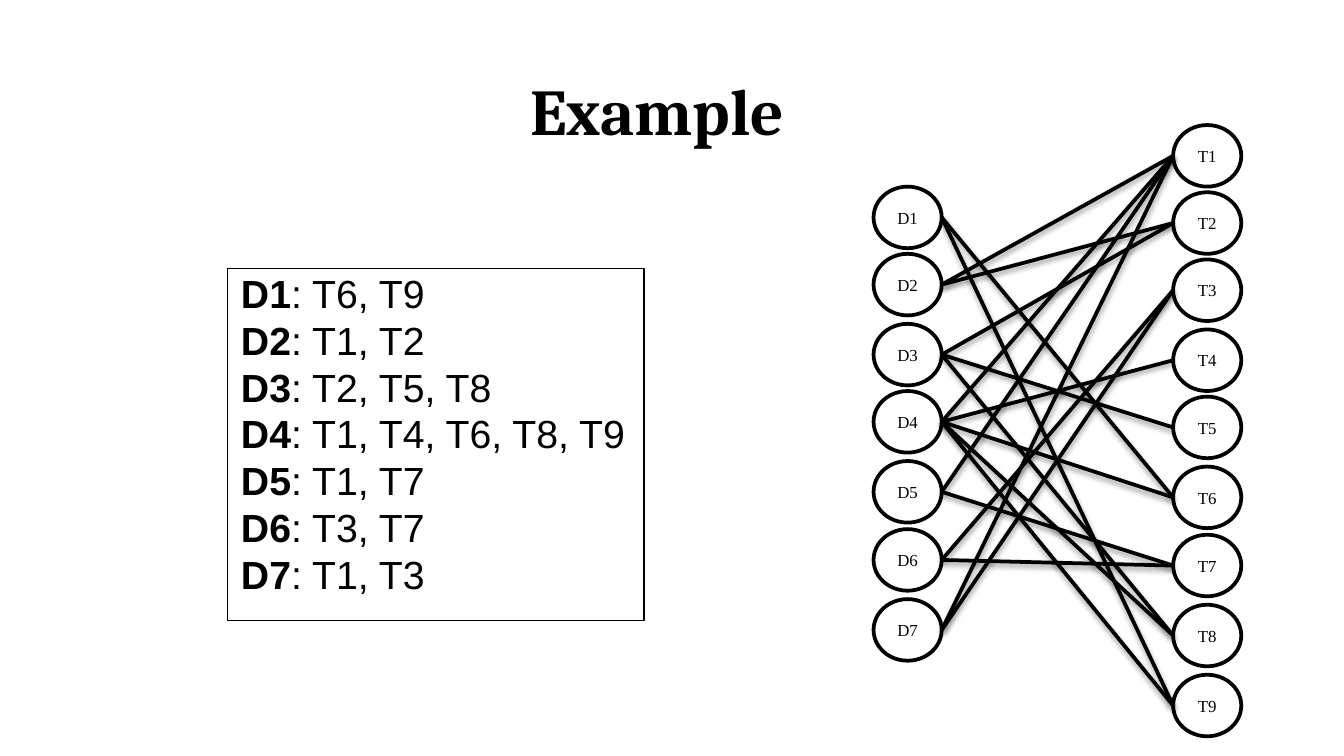
from dataclasses import dataclass

from lxml import etree
from pptx import Presentation
from pptx.dml.color import RGBColor
from pptx.enum.shapes import MSO_CONNECTOR, MSO_SHAPE
from pptx.enum.text import MSO_ANCHOR, PP_ALIGN
from pptx.oxml.ns import qn
from pptx.util import Pt

LEFT, CENTER = PP_ALIGN.LEFT, PP_ALIGN.CENTER
TOP, MIDDLE = MSO_ANCHOR.TOP, MSO_ANCHOR.MIDDLE
RECTANGLE, OVAL = MSO_SHAPE.RECTANGLE, MSO_SHAPE.OVAL
STRAIGHT = MSO_CONNECTOR.STRAIGHT


@dataclass(frozen=True)
class Theme:
    ink: str = "000000"
    title_font: str = "Cambria"
    list_font: str = "Arial"
    node_font: str = "Times New Roman"
    title_size: float = 35
    list_size: float = 21
    node_size: float = 9
    box_line: float = 0.75
    graph_line: float = 2


# Documents and the terms each one contains
TERMS = {
    "D1": ["T6", "T9"],
    "D2": ["T1", "T2"],
    "D3": ["T2", "T5", "T8"],
    "D4": ["T1", "T4", "T6", "T8", "T9"],
    "D5": ["T1", "T7"],
    "D6": ["T3", "T7"],
    "D7": ["T1", "T3"],
}

# Graph layout in points: document rows sit just above term rows 2 to 8
NODE_WIDTH, NODE_HEIGHT = 36.5, 33
DOCUMENT_LEFT, TERM_LEFT = 468, 628.5
TERM_TOPS = [67, 103, 139, 176.5, 212.5, 250, 286.5, 324, 361.5]
DOCUMENT_TOPS = [top - 3 for top in TERM_TOPS[1:8]]


class SlideBuilder:
    def __init__(self, slide, theme):
        self.slide = slide
        self.theme = theme
        self.ink = RGBColor.from_string(theme.ink)

    def apply(self, target, values):
        for name, value in values.items():
            setattr(target, name, value)

    def frame(self, box, anchor, wrap, left=0, top=0):
        self.apply(box.text_frame, {
            "word_wrap": wrap, "vertical_anchor": anchor,
            "margin_left": Pt(left), "margin_right": Pt(left),
            "margin_top": Pt(top), "margin_bottom": Pt(top),
        })
        return box.text_frame

    def span(self, para, text, font, size, bold=False):
        span = para.add_run()
        span.text = text
        self.apply(span.font, {"name": font, "size": Pt(size), "bold": bold})
        span.font.color.rgb = self.ink

    def stroke(self, line, width):
        line.color.rgb = self.ink
        line.width = Pt(width)

    def outline(self, kind, left, top, width, height, line_width):
        shape = self.slide.shapes.add_shape(
            kind, Pt(left), Pt(top), Pt(width), Pt(height))
        shape.shadow.inherit = False
        shape.fill.background()
        self.stroke(shape.line, line_width)
        return shape

    def title(self, text, left, top, width, height):
        box = self.slide.shapes.add_textbox(
            Pt(left), Pt(top), Pt(width), Pt(height))
        para = self.frame(box, MIDDLE, True).paragraphs[0]
        para.alignment = CENTER
        self.span(para, text, self.theme.title_font, self.theme.title_size, True)

    def term_list(self, terms, left, top, width, height):
        theme = self.theme
        box = self.outline(RECTANGLE, left, top, width, height, theme.box_line)
        frame = self.frame(box, TOP, True, left=7.2, top=5)
        for index, (document, names) in enumerate(terms.items()):
            para = frame.add_paragraph() if index else frame.paragraphs[0]
            self.apply(para, {
                "alignment": LEFT, "line_spacing": 0.8,
                "space_before": Pt(5 if index else 0),
            })
            self.span(para, document, theme.list_font, theme.list_size, True)
            self.span(para, ": " + ", ".join(names),
                      theme.list_font, theme.list_size)

    def node(self, label, left, top):
        theme = self.theme
        oval = self.outline(OVAL, left, top, NODE_WIDTH, NODE_HEIGHT,
                            theme.graph_line)
        para = self.frame(oval, MIDDLE, False).paragraphs[0]
        para.alignment = CENTER
        self.span(para, label, theme.node_font, theme.node_size)
        return oval

    def edge(self, document, term):
        line = self.slide.shapes.add_connector(
            STRAIGHT,
            document.left + document.width, document.top + document.height // 2,
            term.left, term.top + term.height // 2)
        self.stroke(line.line, self.theme.graph_line)
        # Soft shadow straight below the line
        properties = line._element.spPr
        effects = etree.SubElement(properties, qn("a:effectLst"))
        shadow = etree.SubElement(
            effects, qn("a:outerShdw"), blurRad=str(Pt(3.1)),
            dist=str(Pt(1.6)), dir="5400000", rotWithShape="0")
        color = etree.SubElement(shadow, qn("a:srgbClr"), val=self.theme.ink)
        etree.SubElement(color, qn("a:alpha"), val="38000")


def main():
    deck = Presentation()
    deck.slide_width, deck.slide_height = Pt(720), Pt(405)
    page = SlideBuilder(deck.slides.add_slide(deck.slide_layouts[6]), Theme())

    # Title and document list
    page.title("Example", 20, 31, 664, 55.5)
    page.term_list(TERMS, 122, 144, 223, 188.5)

    # Nodes of the two columns
    documents = {name: page.node(name, DOCUMENT_LEFT, top)
                 for name, top in zip(TERMS, DOCUMENT_TOPS)}
    terms = {f"T{number}": page.node(f"T{number}", TERM_LEFT, top)
             for number, top in enumerate(TERM_TOPS, start=1)}

    # Edges from each document to its terms
    for document, names in TERMS.items():
        for name in names:
            page.edge(documents[document], terms[name])

    deck.save("out.pptx")


if __name__ == "__main__":
    main()
